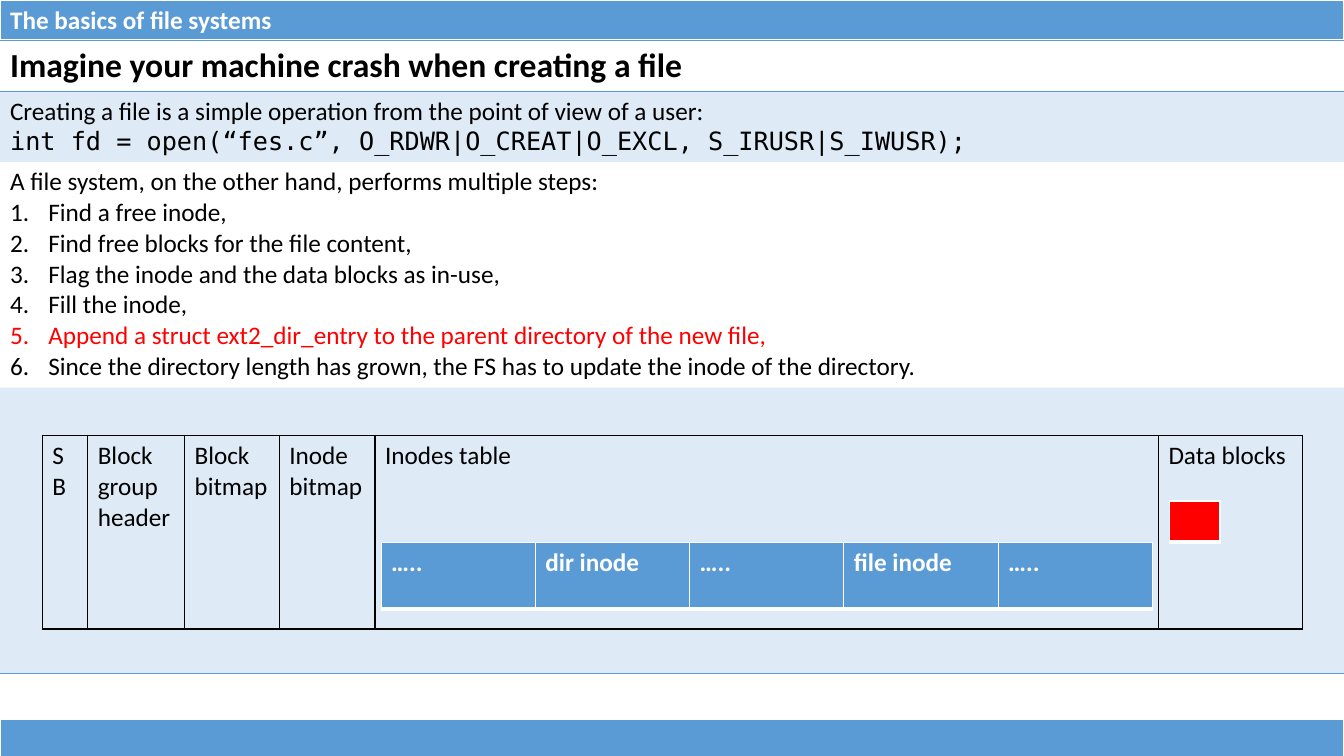
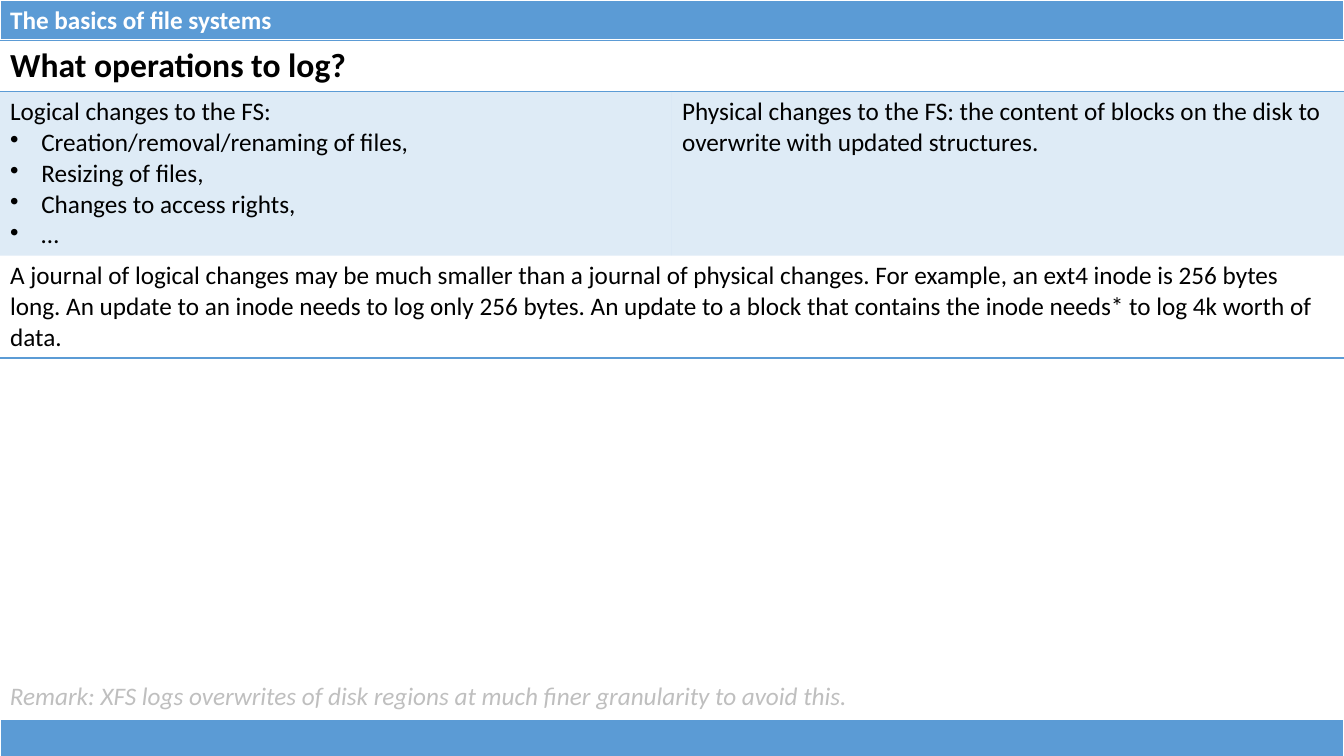
from dataclasses import dataclass

from lxml import etree
from pptx import Presentation
from pptx.dml.color import RGBColor
from pptx.enum.text import MSO_AUTO_SIZE
from pptx.oxml.ns import qn
from pptx.util import Inches, Pt

# Style
BLUE = RGBColor(0x5B, 0x9B, 0xD5)
RED = RGBColor(0xFF, 0x00, 0x00)
BLACK = RGBColor(0x00, 0x00, 0x00)
WHITE = RGBColor(0xFF, 0xFF, 0xFF)
GRAY = RGBColor(0xBF, 0xBF, 0xBF)
BODY_FONT = "Calibri"
CODE_FONT = "DejaVu Sans Mono"
BODY_SIZE = 18
TITLE_SIZE = 24
WIDTH, HEIGHT = 13.33, 7.5
FIT_SHAPE = MSO_AUTO_SIZE.SHAPE_TO_FIT_TEXT
PLAIN_TABLE_STYLE = "{2D5ABB26-0587-4C30-8999-92F81FD0307C}"
NUMBER = ("buAutoNum", "type", "arabicPeriod", 0.38)
BULLET = ("buChar", "char", "•", 0.31)

# Cell borders: side -> (colour, width in points)
TILE_BORDERS = {"L": (WHITE, 1), "R": (WHITE, 1), "T": (WHITE, 1), "B": (WHITE, 3)}
GRID_BORDERS = {side: (BLACK, 1) for side in "LRTB"}
TITLE_BORDERS = {"T": (BLUE, 1), "B": (BLUE, 1)}
END_BORDERS = {"B": (BLUE, 1)}


@dataclass
class Line:
    """One paragraph and its look."""
    text: str
    color: RGBColor = BLACK
    size: int = BODY_SIZE
    font: str = BODY_FONT
    bold: bool = False
    italic: bool = False
    marker: tuple = None


class Deck:
    def __init__(self):
        self.presentation = Presentation()
        self.presentation.slide_width = Inches(WIDTH)
        self.presentation.slide_height = Inches(HEIGHT)
        self.slide = None

    def add_slide(self):
        """Start a slide with the bands at its top and bottom."""
        blank = self.presentation.slide_layouts[6]
        self.slide = self.presentation.slides.add_slide(blank)
        self.tiles(0, 0, [WIDTH], 0.4, ["The basics of file systems"])
        self.tiles(0, 7.14, [WIDTH], 0.4, [""])

    def add_lines(self, frame, lines):
        for index, line in enumerate(lines):
            paragraph = frame.paragraphs[0] if index == 0 else frame.add_paragraph()
            if line.marker:
                tag, attribute, value, indent = line.marker
                properties = paragraph._p.get_or_add_pPr()
                properties.set("marL", str(Inches(indent)))
                properties.set("indent", str(-Inches(indent)))
                etree.SubElement(properties, qn("a:" + tag), {attribute: value})
            for part_index, part in enumerate(line.text.split("\n")):
                if part_index:
                    paragraph.add_line_break()
                run = paragraph.add_run()
                run.text = part
                run.font.name = line.font
                run.font.size = Pt(line.size)
                run.font.bold = line.bold
                run.font.italic = line.italic
                run.font.color.rgb = line.color

    def table(self, left, top, columns, rows):
        frame = self.slide.shapes.add_table(
            len(rows), len(columns), Inches(left), Inches(top),
            Inches(sum(columns)), Inches(sum(rows)))
        table = frame.table
        table._tbl.tblPr.find(qn("a:tableStyleId")).text = PLAIN_TABLE_STYLE
        table.first_row = table.horz_banding = False
        for column, width in zip(table.columns, columns):
            column.width = Inches(width)
        for row, height in zip(table.rows, rows):
            row.height = Inches(height)
        return table

    def cell(self, cell, lines=(), fill=None, alpha=None, borders=None):
        properties = cell._tc.get_or_add_tcPr()
        for side, (color, width) in (borders or {}).items():
            line = etree.SubElement(properties, qn("a:ln" + side), w=str(Pt(width)))
            solid = etree.SubElement(line, qn("a:solidFill"))
            etree.SubElement(solid, qn("a:srgbClr"), val=str(color))
        if fill is None:
            cell.fill.background()
        else:
            cell.fill.solid()
            cell.fill.fore_color.rgb = fill
        if alpha:
            color = properties.find(qn("a:solidFill")).find(qn("a:srgbClr"))
            etree.SubElement(color, qn("a:alpha"), val=str(alpha * 1000))
        self.add_lines(cell.text_frame, lines)

    def tinted_cell(self, cell, lines=(), borders=None):
        self.cell(cell, lines, BLUE, 20, borders)

    def title_cell(self, cell, text):
        self.cell(cell, [Line(text, size=TITLE_SIZE, bold=True)], borders=TITLE_BORDERS)

    def tiles(self, left, top, columns, height, labels, fill=BLUE):
        """A row of filled cells with white edges and bold labels."""
        table = self.table(left, top, columns, [height])
        for index, label in enumerate(labels):
            lines = [Line(label, WHITE, bold=True)] if label else []
            self.cell(table.cell(0, index), lines, fill, borders=TILE_BORDERS)

    def grid(self, left, top, columns, height, labels):
        """A row of unfilled cells with black edges."""
        table = self.table(left, top, columns, [height])
        for index, label in enumerate(labels):
            self.cell(table.cell(0, index), [Line(label)], borders=GRID_BORDERS)

    def text(self, left, top, width, height, line):
        box = self.slide.shapes.add_textbox(
            Inches(left), Inches(top), Inches(width), Inches(height))
        box.text_frame.word_wrap = True
        box.text_frame.auto_size = FIT_SHAPE
        self.add_lines(box.text_frame, [line])


def build_crash_slide(deck):
    deck.add_slide()
    content = deck.table(0, 0.4, [WIDTH], [0.51, 0.69, 2.24, 2.84])
    deck.title_cell(content.cell(0, 0), "Imagine your machine crash when creating a file")
    deck.tinted_cell(content.cell(1, 0), [
        Line("Creating a file is a simple operation from the point of view of a user:"),
        Line("int fd = open(“fes.c”, O_RDWR|O_CREAT|O_EXCL, S_IRUSR|S_IWUSR);",
             font=CODE_FONT),
    ])
    steps = [
        ("Find a free inode,", BLACK),
        ("Find free blocks for the file content,", BLACK),
        ("Flag the inode and the data blocks as in-use,", BLACK),
        ("Fill the inode,", BLACK),
        ("Append a struct ext2_dir_entry to the parent directory of the new file,", RED),
        ("Since the directory length has grown, the FS has to update "
         "the inode of the directory.", BLACK),
    ]
    deck.cell(content.cell(2, 0), [
        Line("A file system, on the other hand, performs multiple steps:"),
        *(Line(text, color, marker=NUMBER) for text, color in steps),
    ])
    deck.tinted_cell(content.cell(3, 0), borders=END_BORDERS)

    # Disk layout
    deck.grid(0.42, 4.32, [0.45, 0.96, 0.94, 0.95, 7.77, 1.43], 1.92,
              ["SB", "Block group\nheader", "Block\nbitmap", "Inode\nbitmap",
               "Inodes table", "Data blocks"])
    deck.tiles(3.78, 5.38, [1.53] * 5, 0.66,
               ["…..", "dir inode", "…..", "file inode", "….."])
    deck.tiles(11.6, 4.97, [0.5], 0.4, [""], RED)


def build_log_slide(deck):
    deck.add_slide()
    content = deck.table(0, 0.4, [WIDTH / 2] * 2, [0.51, 1.62, 1.01])
    for row in (0, 2):
        content.cell(row, 0).merge(content.cell(row, 1))
    deck.title_cell(content.cell(0, 0), "What operations to log?")
    changes = ["Creation/removal/renaming of files,", "Resizing of files,",
               "Changes to access rights,", "…"]
    deck.tinted_cell(content.cell(1, 0), [
        Line("Logical changes to the FS:"),
        *(Line(change, marker=BULLET) for change in changes),
    ])
    deck.tinted_cell(content.cell(1, 1), [
        Line("Physical changes to the FS: the content of blocks on the disk "
             "to overwrite with updated structures."),
    ])
    deck.cell(content.cell(2, 0), [
        Line("A journal of logical changes may be much smaller than a journal of "
             "physical changes. For example, an ext4 inode is 256 bytes long. "
             "An update to an inode needs to log only 256 bytes. An update to a "
             "block that contains the inode needs* to log 4k worth of data."),
    ], borders=END_BORDERS)

    # Remark
    deck.text(0, 6.7, 9.52, 0.4, Line(
        "Remark: XFS logs overwrites of disk regions at much finer granularity "
        "to avoid this.", GRAY, italic=True))


def main():
    deck = Deck()
    build_crash_slide(deck)
    build_log_slide(deck)
    deck.presentation.save("out.pptx")


if __name__ == "__main__":
    main()
